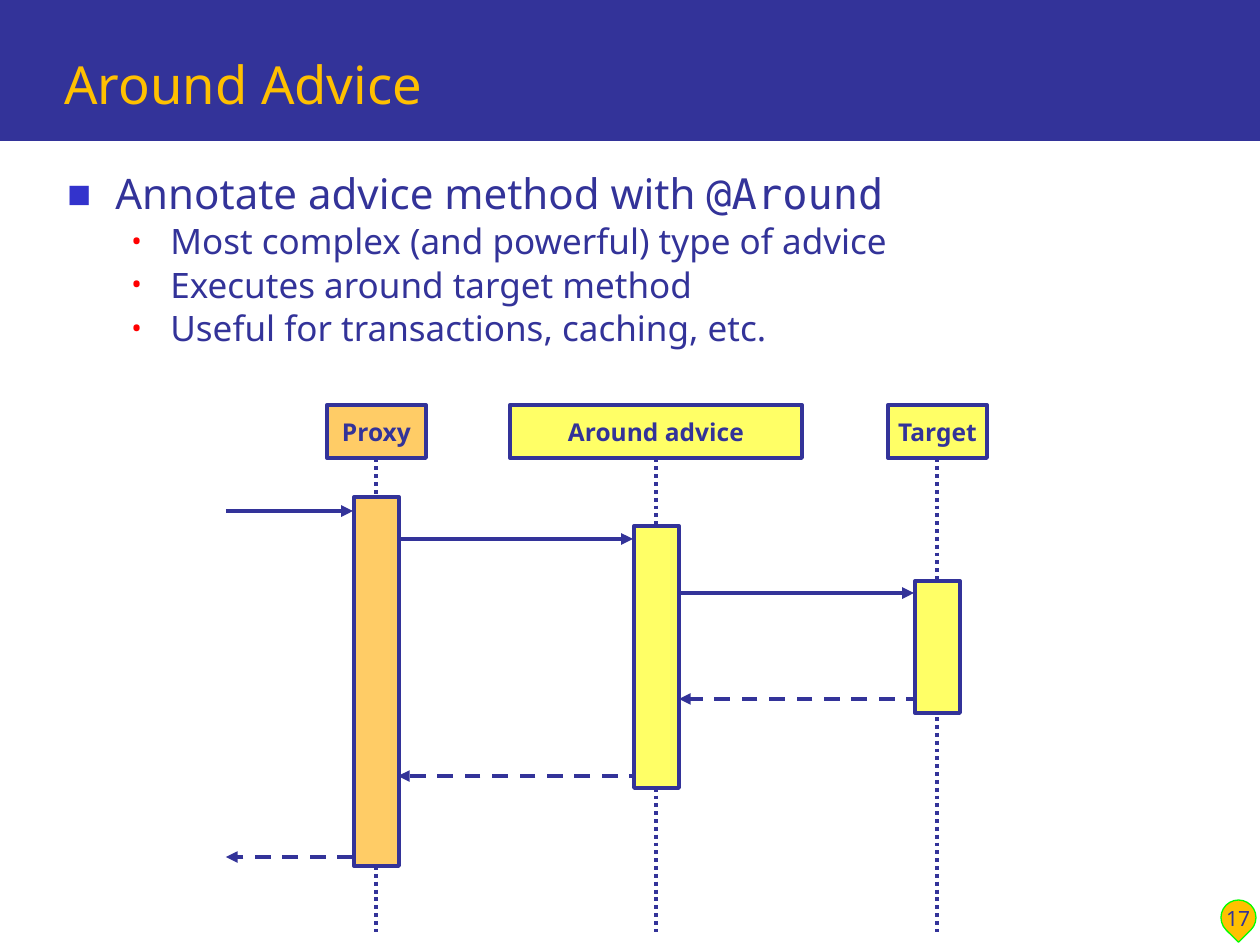
from lxml import etree
from pptx import Presentation
from pptx.dml.color import RGBColor
from pptx.enum.dml import MSO_LINE
from pptx.enum.shapes import MSO_CONNECTOR, MSO_SHAPE
from pptx.enum.text import MSO_ANCHOR, PP_ALIGN
from pptx.oxml.ns import qn
from pptx.util import Pt

RECT, TEAR = MSO_SHAPE.RECTANGLE, MSO_SHAPE.TEAR
STRAIGHT = MSO_CONNECTOR.STRAIGHT
DASH, DOT = MSO_LINE.DASH, MSO_LINE.ROUND_DOT
TOP, MIDDLE, BOTTOM = MSO_ANCHOR.TOP, MSO_ANCHOR.MIDDLE, MSO_ANCHOR.BOTTOM
LEFT, CENTER = PP_ALIGN.LEFT, PP_ALIGN.CENTER

NAVY, GOLD, ORANGE, YELLOW = "333399", "FFC000", "FFCC66", "FFFF66"
SANS, MONO = "Noto Sans", "DejaVu Sans Mono"


def px(n):
    return round(n * 914400 / 126)


def rgb(color):
    return RGBColor.from_string(color)


class Deck:
    """Holds the style and the current slide; lengths are in px, 126 to the inch."""

    def __init__(self, width, height):
        self.prs = Presentation()
        self.prs.slide_width, self.prs.slide_height = px(width), px(height)
        self.slide = self.prs.slides.add_slide(self.prs.slide_layouts[6])

    def shape(self, x, y, w, h, fill, line=None, weight=2.25, kind=RECT):
        sp = self.slide.shapes.add_shape(kind, px(x), px(y), px(w), px(h))
        sp.shadow.inherit = False
        sp.fill.solid()
        sp.fill.fore_color.rgb = rgb(fill)
        if line:
            sp.line.color.rgb = rgb(line)
            sp.line.width = Pt(weight)
        else:
            sp.line.fill.background()
        return sp

    def line(self, x1, y1, x2, y2, dash=None, arrow=False):
        cxn = self.slide.shapes.add_connector(STRAIGHT, px(x1), px(y1), px(x2), px(y2))
        cxn.line.color.rgb = rgb(NAVY)
        cxn.line.width = Pt(2.25)
        if dash:
            cxn.line.dash_style = dash
        if arrow:
            ln = cxn._element.spPr.find(qn("a:ln"))
            etree.SubElement(ln, qn("a:tailEnd"), type="triangle")
        etree.SubElement(cxn._element.spPr, qn("a:effectLst"))

    def box(self, x, y, w, h, anchor=TOP):
        tf = self.slide.shapes.add_textbox(px(x), px(y), px(w), px(h)).text_frame
        tf.word_wrap = True
        tf.vertical_anchor = anchor
        return tf

    def font(self, r, size, color=NAVY, name=SANS, bold=False):
        r.font.size, r.font.name, r.font.bold = Pt(size), name, bold
        r.font.color.rgb = rgb(color)

    def label(self, tf, text, size, color=NAVY, align=LEFT, bold=False):
        tf.text = text
        p = tf.paragraphs[0]
        p.alignment = align
        self.font(p.runs[0], size, color, bold=bold)

    def bullet(self, p, char, color, percent, margin, hang):
        pPr = p._p.get_or_add_pPr()
        pPr.set("marL", str(px(margin)))
        pPr.set("indent", str(-px(hang)))
        clr = etree.SubElement(pPr, qn("a:buClr"))
        etree.SubElement(clr, qn("a:srgbClr"), val=color)
        etree.SubElement(pPr, qn("a:buSzPct"), val=str(percent * 1000))
        etree.SubElement(pPr, qn("a:buFont"), typeface=SANS)
        etree.SubElement(pPr, qn("a:buChar"), char=char)

    def participant(self, center, width, name, fill):
        sp = self.shape(center - width // 2, 405, width, 53, fill, NAVY)
        sp.text_frame.word_wrap = False
        sp.text_frame.vertical_anchor = MIDDLE
        self.label(sp.text_frame, name, 14, align=CENTER, bold=True)


def main():
    deck = Deck(1260, 945)
    deck.shape(0, 0, 1260, 141, NAVY)
    drop = deck.shape(1221, 900, 35, 35, GOLD, "00FF00", 0.75, TEAR)
    drop.rotation = 135

    title = deck.box(52, 21, 1178, 96, BOTTOM)
    title.margin_bottom = px(2)
    deck.label(title, "Around Advice", 30, GOLD)
    deck.label(deck.box(1202, 874, 72, 63, BOTTOM), "17", 12, align=CENTER)

    body = deck.box(55, 165, 1169, 680)
    body.margin_top = px(3)
    deck.label(body, "Annotate advice method with ", 24)
    p = body.paragraphs[0]
    r = p.add_run()
    r.text = "@Around"
    deck.font(r, 24, name=MONO)
    deck.bullet(p, "■", "3333CC", 60, 48, 48)
    for text in ("Most complex (and powerful) type of advice",
                 "Executes around target method",
                 "Useful for transactions, caching, etc."):
        p = body.add_paragraph()
        p.text = text
        p.level = 1
        p.space_before = Pt(0.8)
        deck.font(p.runs[0], 20)
        deck.bullet(p, "•", "FF0000", 80, 103, 39)

    # center, header width, name, fill, activation left, top and height
    participants = [
        (376, 99, "Proxy", ORANGE, 354, 497, 369),
        (656, 292, "Around advice", YELLOW, 634, 526, 262),
        (937, 99, "Target", YELLOW, 915, 581, 132),
    ]
    for center, *_ in participants:
        deck.line(center, 435, center, 932, DOT)
    for center, width, name, fill, *_ in participants:
        deck.participant(center, width, name, fill)

    calls = [(226, 353, 511), (392, 633, 539), (669, 914, 593)]
    returns = [(922, 679, 699), (645, 398, 776), (353, 226, 857)]
    for dash, messages in ((None, calls), (DASH, returns)):
        for start, end, y in messages:
            deck.line(start, y, end, y, dash, arrow=True)

    for _, _, _, fill, left, top, height in participants:
        deck.shape(left, top, 45, height, fill, NAVY)

    deck.prs.save("out.pptx")


if __name__ == "__main__":
    main()
